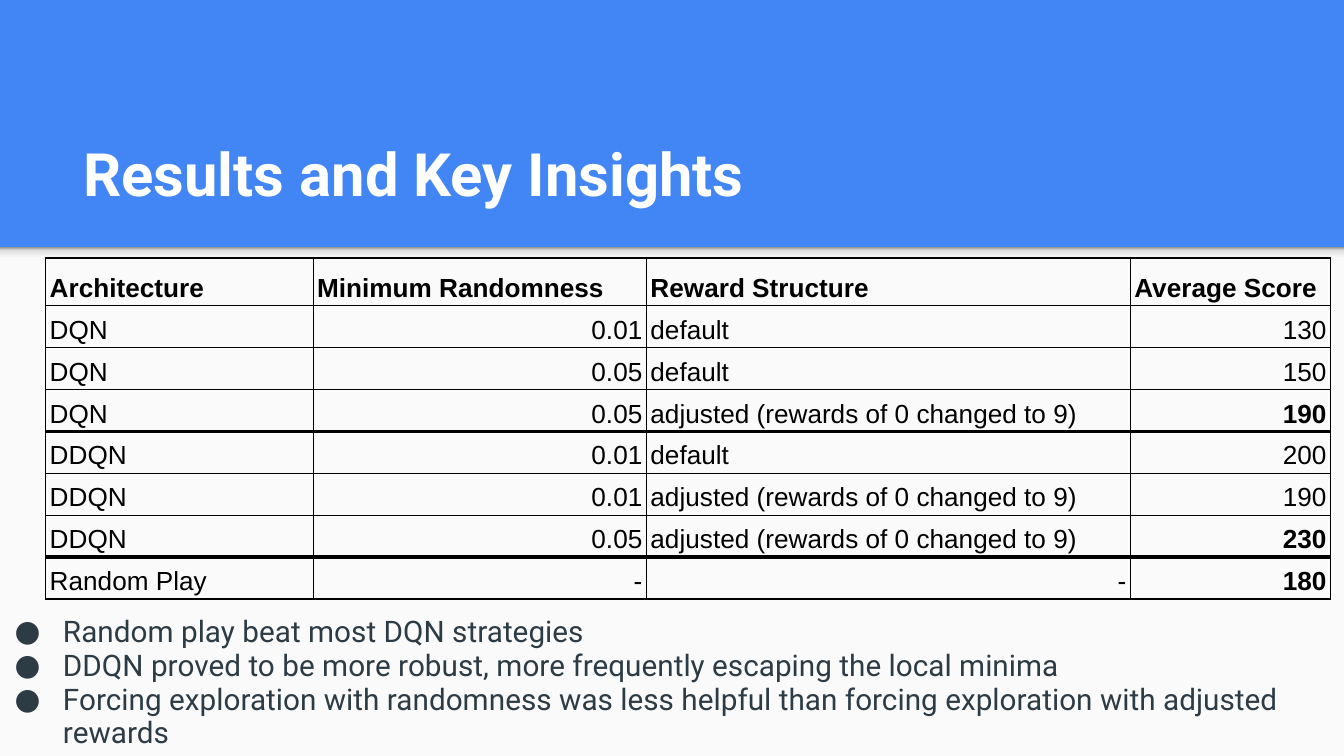
from copy import deepcopy
from dataclasses import dataclass

from lxml.etree import SubElement
from pptx import Presentation
from pptx.dml.color import RGBColor
from pptx.enum.shapes import MSO_SHAPE as Preset
from pptx.enum.text import MSO_ANCHOR as Anchor, MSO_AUTO_SIZE as AutoSize, PP_ALIGN as Align
from pptx.oxml.ns import qn
from pptx.util import Inches, Length, Pt

COLORS = {
    "blue": "4285F4",
    "paper": "FAFAFA",
    "white": "FFFFFF",
    "ink": "2D3B45",
    "black": "000000",
}
SHADOW_STOPS = [(0, "F9F9F9"), (0.36, "F9F9F9"), (0.8, "DEDEDE"), (1, "999999")]

# The slide is a grid of 100 columns; rows are as tall as columns are wide
SLIDE_WIDTH = Inches(10)
SLIDE_HEIGHT = Length(SLIDE_WIDTH * 9 // 16)
COLUMNS = 100
ROWS = COLUMNS * 9 / 16
BAND_BOTTOM = 18.4


@dataclass(frozen=True)
class Area:
    left: float
    top: float
    width: float
    height: float

    def lengths(self) -> tuple:
        return tuple(map(units, (self.left, self.top, self.width, self.height)))


@dataclass(frozen=True)
class Result:
    architecture: str
    randomness: str
    reward: str
    score: str
    bold_score: bool = False
    closes_group: bool = False

    def texts(self) -> tuple:
        return self.architecture, self.randomness, self.reward, self.score


HEADINGS = ("Architecture", "Minimum Randomness", "Reward Structure", "Average Score")
ADJUSTED = "adjusted (rewards of 0 changed to 9)"
RESULTS = [
    Result("DQN", "0.01", "default", "130"),
    Result("DQN", "0.05", "default", "150"),
    Result("DQN", "0.05", ADJUSTED, "190", bold_score=True, closes_group=True),
    Result("DDQN", "0.01", "default", "200"),
    Result("DDQN", "0.01", ADJUSTED, "190"),
    Result("DDQN", "0.05", ADJUSTED, "230", bold_score=True, closes_group=True),
    Result("Random Play", "-", "-", "180", bold_score=True),
]
INSIGHTS = [
    "Random play beat most DQN strategies",
    "DDQN proved to be more robust, more frequently escaping the local minima",
    "Forcing exploration with randomness was less helpful than forcing "
    "exploration with adjusted rewards",
]
TABLE_COLUMNS = (19.9, 24.8, 36, 14.9)
HEADER_ROW, RESULT_ROW = 3.54, 3.12
THIN, THICK = 0.75, 2.25


def units(count: float) -> Length:
    return Length(round(SLIDE_WIDTH * count / COLUMNS))


def color(name: str) -> RGBColor:
    return RGBColor.from_string(COLORS[name])


def set_font(font, name: str, size: float, ink: str, bold: bool = False) -> None:
    font.name, font.size, font.bold = name, Pt(size), bold
    font.color.rgb = color(ink)


def add_panel(page, area: Area):
    panel = page.shapes.add_shape(Preset.RECTANGLE, *area.lengths())
    panel.shadow.inherit = False
    panel.line.fill.background()
    return panel


def shade(panel) -> None:
    panel.fill.gradient()
    panel.fill.gradient_angle = 90
    stop_list = panel._element.spPr.find(".//" + qn("a:gsLst"))
    for _ in range(len(SHADOW_STOPS) - len(stop_list)):
        stop_list.append(deepcopy(stop_list[-1]))
    for stop, (position, tone) in zip(panel.fill.gradient_stops, SHADOW_STOPS):
        stop.position = position
        stop.color.rgb = RGBColor.from_string(tone)


def set_borders(cell, top: float, bottom: float) -> None:
    properties = cell._tc.get_or_add_tcPr()
    for side, width in (("L", THIN), ("R", THIN), ("T", top), ("B", bottom)):
        line = SubElement(properties, qn(f"a:ln{side}"), w=str(Pt(width)))
        fill = SubElement(line, qn("a:solidFill"))
        SubElement(fill, qn("a:srgbClr"), val=COLORS["black"])


def fill_cell(cell, text: str, bold: bool, top: float, bottom: float) -> None:
    set_borders(cell, top, bottom)
    cell.fill.background()
    cell.vertical_anchor = Anchor.BOTTOM
    cell.margin_left = cell.margin_right = units(0.3)
    cell.margin_top = cell.margin_bottom = units(0.2)
    para = cell.text_frame.paragraphs[0]
    para.text = text
    para.line_spacing = 1.15
    is_value = text == "-" or text[0].isdigit()
    para.alignment = Align.RIGHT if is_value else Align.LEFT
    set_font(para.font, "Arial", 14, "black", bold)


def add_results(page, left: float, top: float) -> None:
    heights = [HEADER_ROW] + [RESULT_ROW] * len(RESULTS)
    area = Area(left, top, sum(TABLE_COLUMNS), sum(heights))
    table = page.shapes.add_table(len(heights), len(TABLE_COLUMNS), *area.lengths()).table
    table.first_row = table.horz_banding = False
    for column, width in zip(table.columns, TABLE_COLUMNS):
        column.width = units(width)
    for row, height in zip(table.rows, heights):
        row.height = units(height)

    for cell, heading in zip(table.rows[0].cells, HEADINGS):
        fill_cell(cell, heading, True, THIN, THIN)
    above = THIN
    for row, result in zip(list(table.rows)[1:], RESULTS):
        below = THICK if result.closes_group else THIN
        for index, (cell, text) in enumerate(zip(row.cells, result.texts())):
            is_score = index == len(HEADINGS) - 1
            fill_cell(cell, text, is_score and result.bold_score, above, below)
        above = below


def set_bullet(para) -> None:
    properties = para._p.get_or_add_pPr()
    properties.set("marL", str(units(5)))
    properties.set("indent", str(units(-3.6)))
    tint = SubElement(properties, qn("a:buClr"))
    SubElement(tint, qn("a:srgbClr"), val=COLORS["ink"])
    SubElement(properties, qn("a:buFont"), typeface="Roboto")
    SubElement(properties, qn("a:buChar"), char="●")


def set_frame(frame, anchor) -> None:
    frame.word_wrap = True
    frame.auto_size = AutoSize.NONE
    frame.vertical_anchor = anchor
    frame.margin_left = frame.margin_right = units(1)
    frame.margin_top = frame.margin_bottom = units(1)


def add_insights(page, area: Area) -> None:
    frame = page.shapes.add_textbox(*area.lengths()).text_frame
    set_frame(frame, Anchor.TOP)
    for index, insight in enumerate(INSIGHTS):
        para = frame.add_paragraph() if index else frame.paragraphs[0]
        para.text = insight
        para.line_spacing = 0.95
        set_bullet(para)
        set_font(para.font, "Roboto", 15.9, "ink")


def set_title(page, area: Area, text: str) -> None:
    title = page.shapes.title
    title.left, title.top, title.width, title.height = area.lengths()
    set_frame(title.text_frame, Anchor.BOTTOM)
    para = title.text_frame.paragraphs[0]
    para.text = text
    para.alignment = Align.LEFT
    set_font(para.font, "Roboto", 32, "white", bold=True)


def main() -> None:
    deck = Presentation()
    deck.slide_width, deck.slide_height = SLIDE_WIDTH, SLIDE_HEIGHT
    page = deck.slides.add_slide(deck.slide_layouts[5])

    # Blue band above a pale sheet, with a soft shadow between them
    page.background.fill.solid()
    page.background.fill.fore_color.rgb = color("blue")
    sheet = add_panel(page, Area(0, BAND_BOTTOM, COLUMNS, ROWS - BAND_BOTTOM))
    sheet.fill.solid()
    sheet.fill.fore_color.rgb = color("paper")
    shade(add_panel(page, Area(0, BAND_BOTTOM, COLUMNS, 1.2)))

    # Title, table and insights
    set_title(page, Area(5.2, 8.1, 89.9, 8.4), "Results and Key Insights")
    add_insights(page, Area(-1.3, 44.8, 98.9, 11.5))
    add_results(page, 3.4, 19.2)

    deck.save("out.pptx")


if __name__ == "__main__":
    main()
